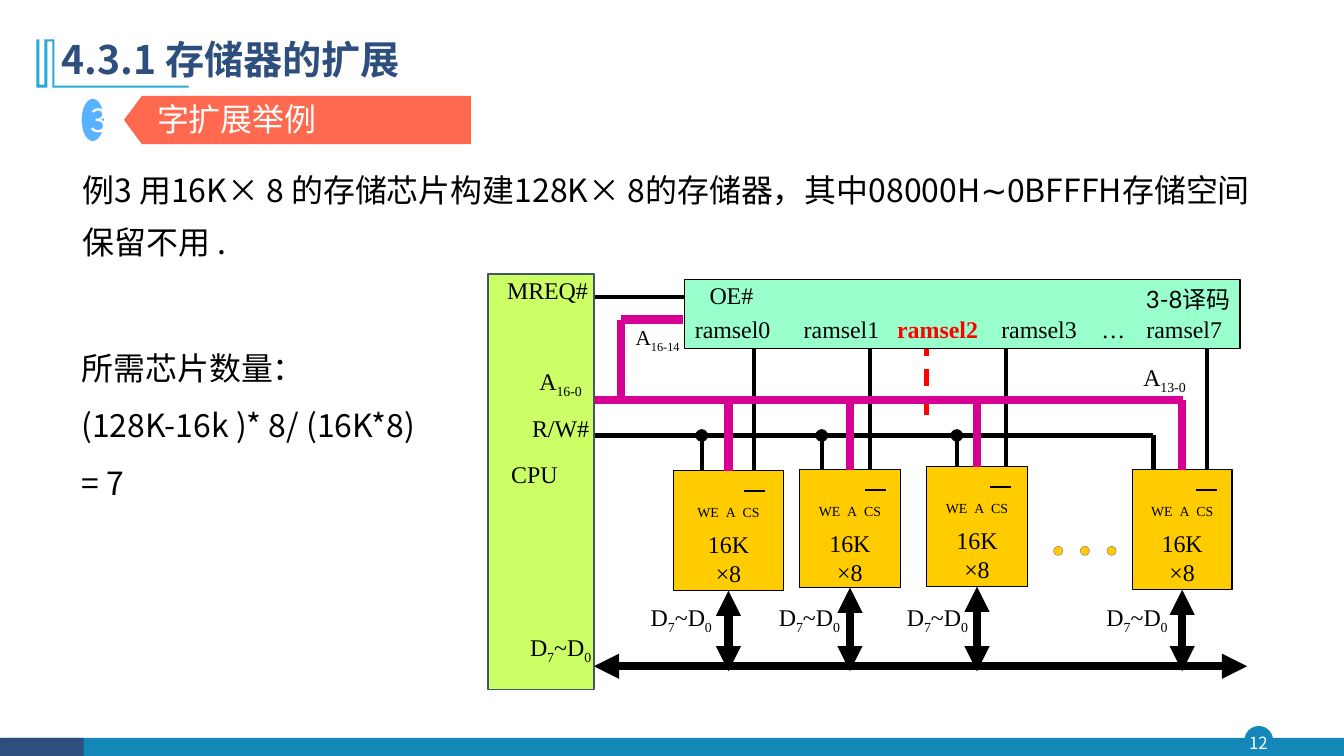
import dataclasses
import lxml.etree
import pptx
import pptx.dml.color
import pptx.enum.dml
import pptx.enum.shapes
import pptx.enum.text
import pptx.oxml.ns
import pptx.util

Inches = pptx.util.Inches
Pt = pptx.util.Pt
qn = pptx.oxml.ns.qn
KIND = pptx.enum.shapes.MSO_SHAPE
ALIGN = pptx.enum.text.PP_ALIGN
ANCHOR = pptx.enum.text.MSO_ANCHOR
TIGHT = (0.01, 0.01, 0.01, 0.01)


@dataclasses.dataclass
class Theme:
    sans: str = "Noto Sans CJK SC"
    serif: str = "Times New Roman"
    latin: str = "Lato"
    title: float = 28
    body: float = 22.8
    label: float = 17.1
    small: float = 15.2
    page: float = 12
    black: str = "000000"
    white: str = "FFFFFF"
    navy: str = "2E4E7E"
    teal: str = "1387B7"
    cyan: str = "28A9D6"
    blue: str = "59B2FF"
    coral: str = "FF6950"
    mint: str = "99FFCC"
    lime: str = "CCFF66"
    slate: str = "44546A"
    gold: str = "FFCC00"
    plum: str = "954F72"
    pink: str = "D60093"
    red: str = "FF0000"


def rgb(color):
    return pptx.dml.color.RGBColor.from_string(color)


def write(frame, paras, font, size, color, bold=False, align=ALIGN.LEFT,
          anchor=ANCHOR.TOP, inset=(0.1, 0.05, 0.1, 0.05), lead=None, east="Noto Sans CJK SC"):
    """Fill a frame; a paragraph is a string or a list of (text, baseline %, spacing)."""
    frame.word_wrap = True
    frame.vertical_anchor = anchor
    (frame.margin_left, frame.margin_top,
     frame.margin_right, frame.margin_bottom) = map(Inches, inset)
    for i, parts in enumerate(paras):
        para = frame.paragraphs[0] if i == 0 else frame.add_paragraph()
        para.alignment = align
        para.space_before = Pt(0)
        if lead:
            para.line_spacing = lead
        for text, base, gap in [(parts, 0, 0)] if isinstance(parts, str) else parts:
            run = para.add_run()
            run.text = text
            run.font.size, run.font.bold, run.font.name = Pt(size), bold, font
            run.font.color.rgb = rgb(color)
            props = run.font._element
            lxml.etree.SubElement(props, qn("a:ea")).set("typeface", east)
            if base:
                props.set("baseline", str(base * 1000))
            if gap:
                props.set("spc", str(gap))


class Board:
    def __init__(self, slide, theme):
        self.slide, self.theme = slide, theme

    def paint(self, item, fill, line=None, width=1):
        item.shadow.inherit = False
        item.fill.solid()
        item.fill.fore_color.rgb = rgb(fill)
        if line:
            item.line.color.rgb = rgb(line)
            item.line.width = Pt(width)
        else:
            item.line.fill.background()
        return item

    def shape(self, kind, box, fill, line=None, width=1):
        item = self.slide.shapes.add_shape(kind, *map(Inches, box))
        return self.paint(item, fill, line, width)

    def outline(self, points, fill):
        spots = [(Inches(x), Inches(y)) for x, y in points]
        build = self.slide.shapes.build_freeform(*spots[0])
        build.add_line_segments(spots[1:])
        return self.paint(build.convert_to_shape(), fill)

    def text(self, box, paras, **style):
        item = self.slide.shapes.add_textbox(*map(Inches, box))
        write(item.text_frame, paras, **style)

    def label(self, left, top, parts, wide=0.92, **style):
        look = dict(font=self.theme.serif, size=self.theme.label,
                    color=self.theme.black, inset=TIGHT, align=ALIGN.RIGHT)
        self.text((left, top, wide, 0.46), [parts], **(look | style))

    def wire(self, start, end, color=None, width=3, dash=False, head=None, tail=None):
        item = self.slide.shapes.add_connector(
            pptx.enum.shapes.MSO_CONNECTOR.STRAIGHT, *map(Inches, (*start, *end)))
        item.line.color.rgb = rgb(color or self.theme.black)
        item.line.width = Pt(width)
        if dash:
            item.line.dash_style = pptx.enum.dml.MSO_LINE.DASH
        spec_ln = item.line._get_or_add_ln()
        for tag, mark in (("a:headEnd", head), ("a:tailEnd", tail)):
            if mark:
                lxml.etree.SubElement(spec_ln, qn(tag)).set("type", mark)
        lxml.etree.SubElement(item._element.spPr, qn("a:effectLst"))
        return item


def sub(name, low):
    return [(name, 0, 0), (low, -25, 0)]


def main():
    deck = pptx.Presentation()
    deck.slide_width, deck.slide_height = Inches(13.33), Inches(7.5)
    slide = deck.slides.add_slide(deck.slide_layouts[5])
    t = Theme()
    b = Board(slide, t)
    data = sub("D", "7") + sub("~D", "0")

    # Footer band and page number
    b.shape(KIND.OVAL, (12.35, 7.21, 0.27, 0.27), t.teal, t.teal)
    b.shape(KIND.RECTANGLE, (0.01, 7.32, 13.32, 0.18), t.teal)
    b.shape(KIND.RECTANGLE, (0, 7.32, 0.83, 0.18), t.navy)
    b.text((12.32, 7.21, 0.32, 0.31), ["12"], font=t.sans, size=t.page, color=t.white,
           align=ALIGN.CENTER, anchor=ANCHOR.MIDDLE, inset=(0, 0, 0, 0))

    # Title and its corner mark
    b.outline([(0.54, 0.39), (0.54, 0.85), (1.87, 0.85), (1.87, 0.87), (0.52, 0.87),
               (0.52, 0.41), (0.47, 0.41), (0.47, 0.87), (0.36, 0.87), (0.36, 0.39),
               (0.39, 0.39), (0.39, 0.84), (0.44, 0.84), (0.44, 0.39)], t.cyan)
    title = slide.shapes.title
    title.left, title.top, title.width, title.height = map(Inches, (0.51, 0.27, 7.23, 0.68))
    write(title.text_frame, ["4.3.1 存储器的扩展"], font=t.sans, size=t.title,
          color=t.navy, bold=True, anchor=ANCHOR.MIDDLE, lead=0.9)

    # Section tag
    body = dict(font=t.sans, size=t.body)
    badge = b.shape(KIND.OVAL, (0.81, 0.98, 0.22, 0.42), t.blue)
    write(badge.text_frame, ["3"], color=t.white, align=ALIGN.CENTER,
          anchor=ANCHOR.MIDDLE, **body)
    tag = b.shape(KIND.PENTAGON, (1.23, 0.95, 3.44, 0.48), t.coral)
    tag.adjustments[0] = 0.371
    tag._element.spPr.find(qn("a:xfrm")).set("flipH", "1")
    b.text((1.46, 0.94, 3.33, 0.48), ["字扩展举例"], color=t.white, **body)

    # Problem and answer
    b.text((0.72, 1.51, 11.95, 1.08),
           ["例3 用16K× 8 的存储芯片构建128K× 8的存储器，其中08000H∼0BFFFH存储空间保留不用 ."],
           color=t.black, lead=1.35, **body)
    b.text((0.71, 3.22, 3.72, 1.76), ["所需芯片数量：", "(128K-16k )* 8/ (16K*8)", "= 7"],
           color=t.black, lead=1.5, **body)

    # Chips: box, then x of write enable, chip select, overbar and data label
    chips = [((6.68, 4.67, 1.09, 1.19), 6.96, 7.48, 7.38, 6.15),
             ((7.93, 4.66, 1, 1.17), 8.15, 8.63, 8.58, 7.42),
             ((9.19, 4.63, 1, 1.19), 9.49, 9.98, 9.82, 8.69),
             ((11.23, 4.66, 0.99, 1.19), 11.44, 11.97, 11.86, 10.67)]
    pins = [("WE", 30, 0), (" ", 30, 250), ("A", 30, 0), (" ", 30, 250), ("CS", 30, 0)]

    # Control lines
    b.wire((9.19, 4.12), (9.19, 3.37), t.red, dash=True)
    b.wire((5.89, 2.95), (6.79, 2.95))
    b.wire((5.89, 4.32), (11.44, 4.32))
    for box, gate, pick, bar, note in chips:
        b.wire((pick, box[1]), (pick, 3.42))
        b.wire((gate, box[1]), (gate, 4.32), tail=None if box is chips[-1][0] else "oval")

    # Address bus and data bus
    for start, end in (((5.83, 3.97), (11.73, 3.97)), ((6.16, 3.17), (6.16, 3.97)),
                       ((6.16, 3.17), (6.77, 3.17))):
        b.wire(start, end, t.pink, 6)
    b.wire((5.89, 6.61), (12.37, 6.61), width=6, head="triangle", tail="triangle")

    # Chips with their bus taps
    for box, gate, pick, bar, note in chips:
        left, top, wide, high = box
        mid = left + wide / 2
        chip = b.shape(KIND.RECTANGLE, box, t.gold, t.black)
        write(chip.text_frame, [pins, "16K", "×8"], font=t.serif, size=t.label,
              color=t.black, align=ALIGN.CENTER, inset=(0.01, 0.3, 0.01, 0.01))
        b.wire((mid, 3.97), (mid, top), t.pink, 6).end_connect(chip, 0)
        b.wire((mid, top + high), (mid, 6.66), width=6,
               head="triangle", tail="triangle").begin_connect(chip, 2)
        b.wire((bar, top + 0.2), (bar + 0.21, top + 0.2), width=1.5)
        b.label(note, 5.97, data)
    for i in range(3):
        b.shape(KIND.OVAL, (10.45 + 0.265 * i, 5.42, 0.09, 0.09), t.gold, t.plum, 0.25)

    # Decoder
    coder = b.shape(KIND.RECTANGLE, (6.79, 2.77, 5.51, 0.69), t.mint, t.black)
    write(coder.text_frame, ["3-8译码"], font=t.latin, size=t.label, color=t.black,
          align=ALIGN.RIGHT)
    b.label(6.79, 2.77, "OE#", 0.69)
    for left, name, wide in ((6.56, "ramsel0", 1.09), (7.64, "ramsel1", 1.09),
                             (9.46, "ramsel3", 1.23), (10.62, "…", 0.55),
                             (10.9, "ramsel7", 1.23)):
        b.label(left, 3.11, name, wide)
    b.label(8.48, 3.11, "ramsel2", 1.23, color=t.red, bold=True)
    b.label(5.82, 3.21, sub("A", "16-14"), 0.93, size=t.small)
    b.label(10.84, 3.59, sub("A", "13-0"), 0.93)

    # Processor
    b.shape(KIND.RECTANGLE, (4.84, 2.72, 1.05, 4.12), t.lime, t.slate)
    for left, top, name in ((4.97, 2.72, "MREQ#"), (5.1, 3.63, sub("A", "16-0")),
                            (5.1, 4.09, "R/W#"), (4.84, 4.55, "CPU"), (5.1, 6.27, data)):
        b.label(left, top, name, align=ALIGN.CENTER)

    deck.save("out.pptx")


if __name__ == "__main__":
    main()
